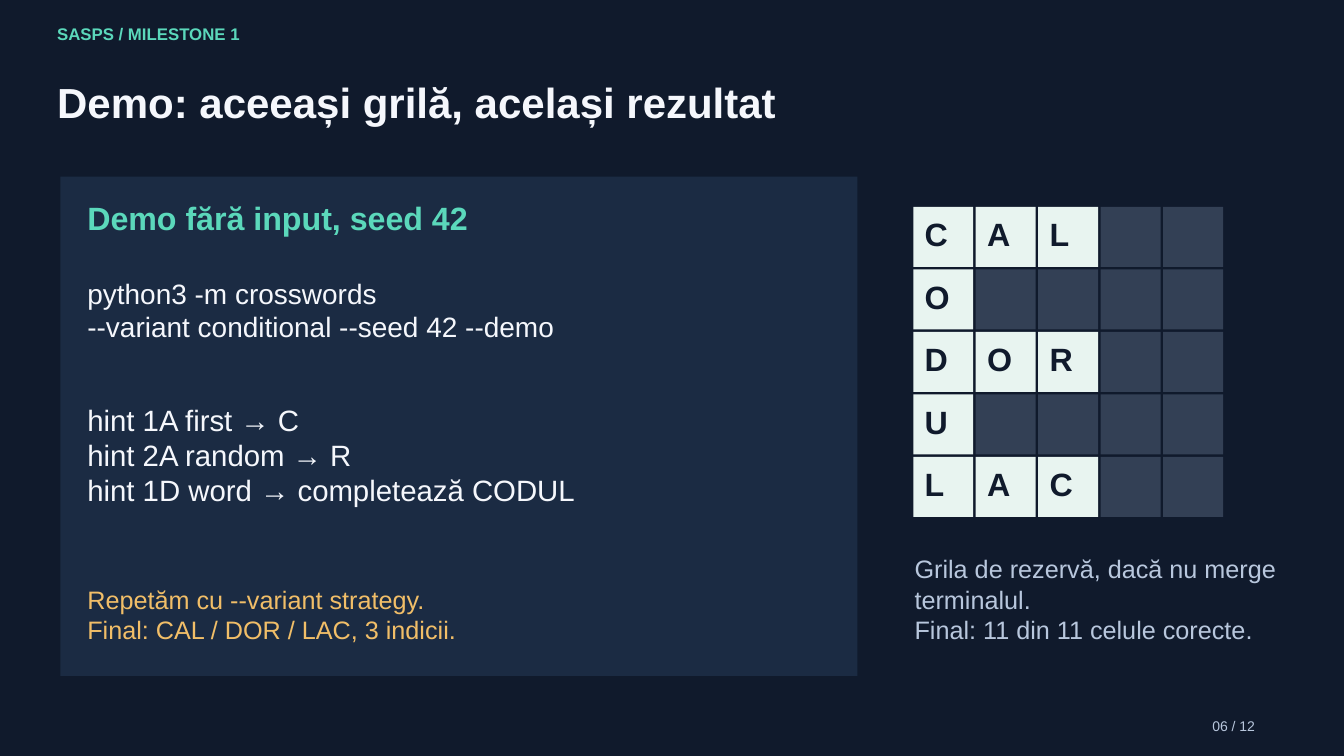
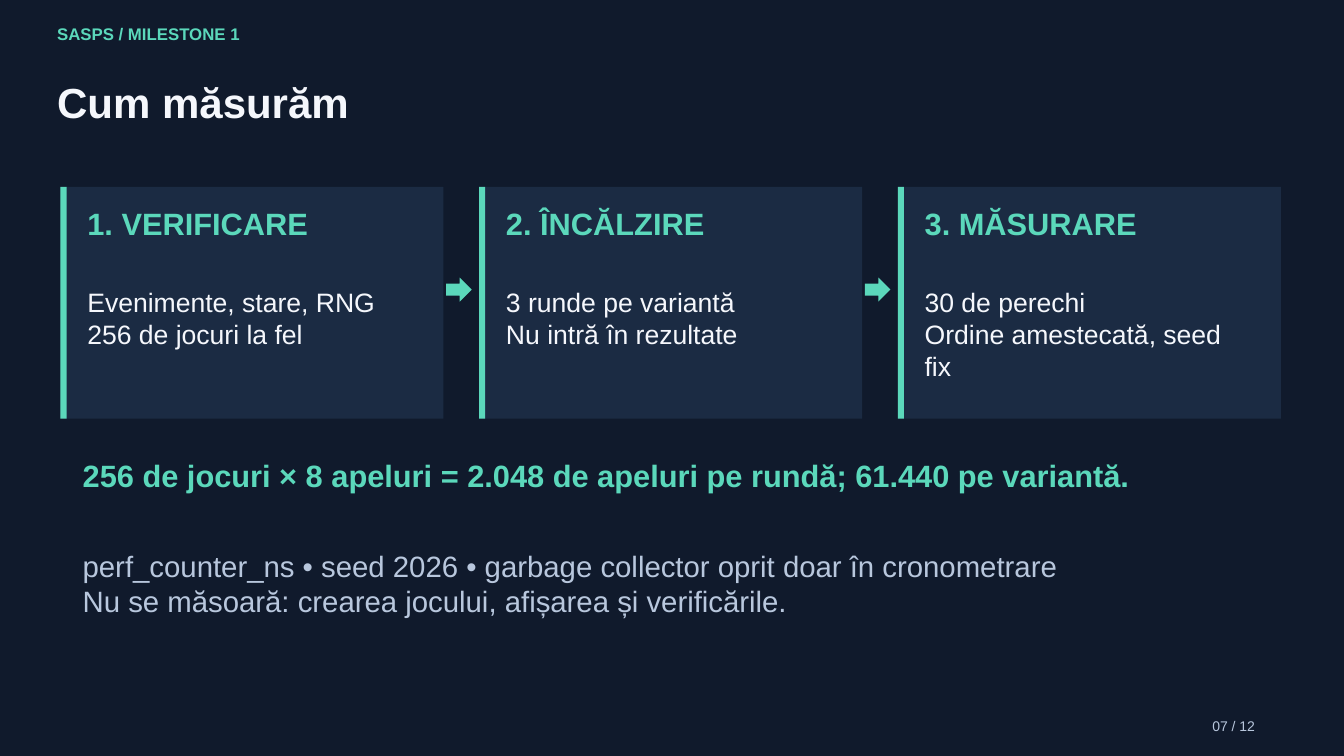
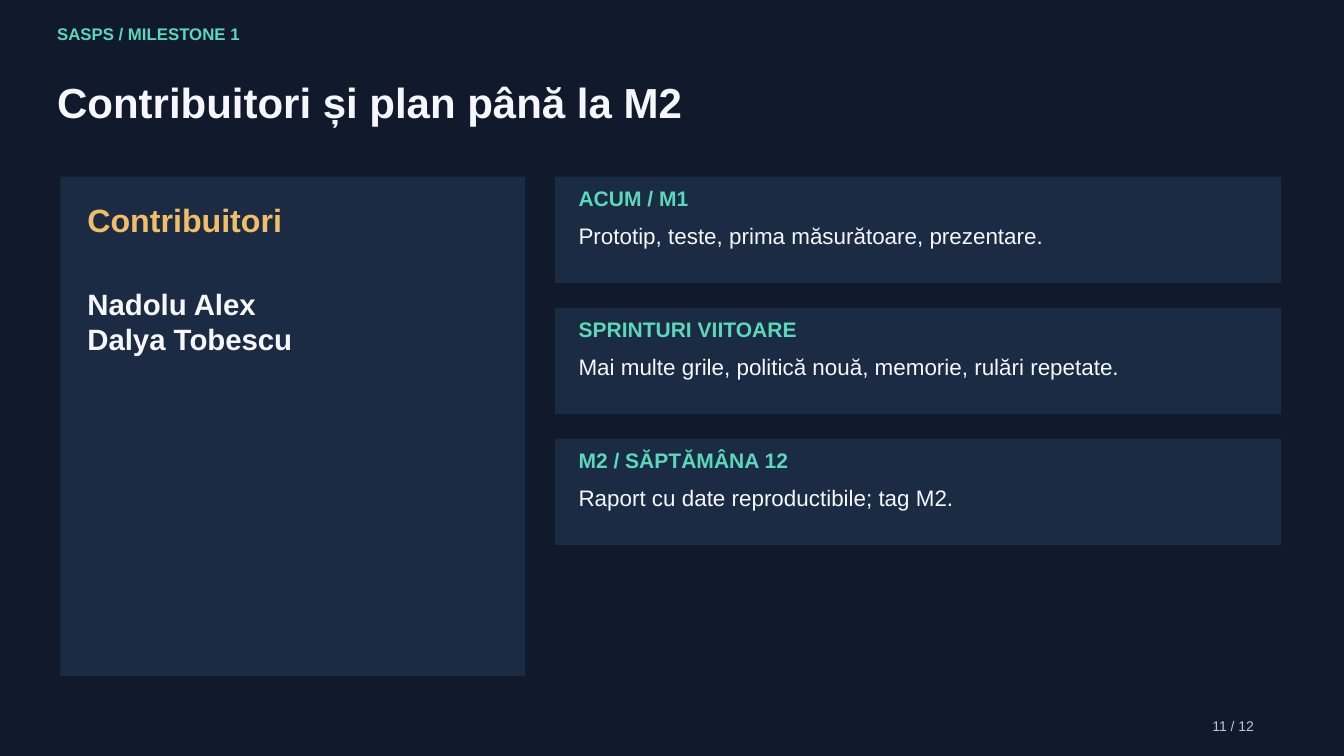
from pptx import Presentation
from pptx.dml.color import RGBColor
from pptx.enum.shapes import MSO_SHAPE as SHAPE
from pptx.enum.text import MSO_AUTO_SIZE as AUTO_SIZE
from pptx.util import Inches, Pt

COLORS = {
    "background": "101A2C",
    "panel": "1B2B43",
    "empty": "334055",
    "filled": "E8F4F0",
    "accent": "5BD8BB",
    "gold": "F1BE68",
    "text": "F5F7FC",
    "muted": "B8C7DD",
}
FONT = "Arial"

# The slide is a grid of 20 columns by 11.25 rows; all lengths count its cells.
COLUMNS, ROWS = 20, 11.25
CELL = Inches(1)
LEFT, RIGHT = 0.9, 19.06
PANEL_TOP, PANEL_HEIGHT = 2.63, 7.43
PAD = 0.4
TOTAL_SLIDES = 12

CROSSWORD = ["CAL  ", "O    ", "DOR  ", "U    ", "LAC  "]
STEPS = [
    ("1. VERIFICARE", ["Evenimente, stare, RNG", "256 de jocuri la fel"]),
    ("2. ÎNCĂLZIRE", ["3 runde pe variantă", "Nu intră în rezultate"]),
    ("3. MĂSURARE", ["30 de perechi", "Ordine amestecată, seed", "fix"]),
]
PLAN = [
    ("ACUM / M1", "Prototip, teste, prima măsurătoare, prezentare."),
    ("SPRINTURI VIITOARE", "Mai multe grile, politică nouă, memorie, rulări repetate."),
    ("M2 / SĂPTĂMÂNA 12", "Raport cu date reproductibile; tag M2."),
]


def rgb(name):
    return RGBColor.from_string(COLORS[name])


def on_grid(*lengths):
    return [round(n * CELL) for n in lengths]


def add_block(slide, x, y, w, h, color="panel", shape=SHAPE.RECTANGLE):
    """Add a plain filled shape without outline or shadow."""
    sp = slide.shapes.add_shape(shape, *on_grid(x, y, w, h))
    sp.shadow.inherit = False
    sp.fill.solid()
    sp.fill.fore_color.rgb = rgb(color)
    sp.line.fill.background()


def add_text(slide, text, x, y, w, h, size=31.5, color="text", bold=False):
    """Add a text box; a list of strings gives one paragraph each."""
    tf = slide.shapes.add_textbox(*on_grid(x, y, w, h)).text_frame
    tf.margin_left = tf.margin_right = tf.margin_top = tf.margin_bottom = 0
    tf.word_wrap = True
    tf.auto_size = AUTO_SIZE.SHAPE_TO_FIT_TEXT
    lines = [text] if isinstance(text, str) else text
    for i, line in enumerate(lines):
        p = tf.add_paragraph() if i else tf.paragraphs[0]
        p.line_spacing = Pt(size * 1.2)
        r = p.add_run()
        r.text = line
        r.font.name = FONT
        r.font.size = Pt(size)
        r.font.bold = bold
        r.font.color.rgb = rgb(color)


def add_slide(prs, title, number):
    """Add a slide with the shared background, header, title and page number."""
    slide = prs.slides.add_slide(prs.slide_layouts[6])
    slide.background.fill.solid()
    slide.background.fill.fore_color.rgb = rgb("background")
    add_text(slide, "SASPS / MILESTONE 1", 0.85, 0.35, 17.96, 0.55,
             size=18, color="accent", bold=True)
    add_text(slide, title, 0.85, 1.14, 18.26, 1.08, size=45, bold=True)
    add_text(slide, f"{number:02} / {TOTAL_SLIDES}", 18.04, 10.68, 1.07, 0.4,
             size=15, color="muted")
    return slide


def add_crossword(slide, x, y, rows, square=0.89, pitch=0.93):
    for i, row in enumerate(rows):
        for j, letter in enumerate(row):
            left, top = x + j * pitch, y + i * pitch
            filled = letter != " "
            add_block(slide, left, top, square, square, "filled" if filled else "empty")
            if filled:
                add_text(slide, letter, left + 0.17, top + 0.11, 0.63, 0.77,
                         size=34.5, color="background", bold=True)


def add_step(slide, x, heading, lines, width):
    top, height = 2.78, 3.45
    add_block(slide, x, top, width, height)
    add_block(slide, x, top, 0.09, height, "accent")
    add_text(slide, heading, x + PAD, 3.05, width - 2 * PAD, 1.01,
             size=33, color="accent", bold=True)
    add_text(slide, lines, x + PAD, 4.26, width - 2 * PAD, 1.75, size=28.5)


def add_plan_row(slide, y, heading, text):
    x, pad = 8.26, 0.35
    width = RIGHT - x
    add_block(slide, x, y, width, 1.58)
    add_text(slide, heading, x + pad, y + 0.13, width - 2 * pad, 0.55,
             size=22.5, color="accent", bold=True)
    add_text(slide, text, x + pad, y + 0.68, width - 2 * pad, 0.84, size=24)


def build_demo(prs):
    slide = add_slide(prs, "Demo: aceeași grilă, același rezultat", 6)
    width = 11.86
    x, w = LEFT + PAD, width - 2 * PAD
    add_block(slide, LEFT, PANEL_TOP, width, PANEL_HEIGHT)
    add_text(slide, "Demo fără input, seed 42", x, 2.95, w, 0.85,
             size=34.5, color="accent", bold=True)
    add_text(slide, ["python3 -m crosswords", "--variant conditional --seed 42 --demo"],
             x, 4.11, w, 1.52, size=30)
    add_text(slide, ["hint 1A first → C", "hint 2A random → R",
                     "hint 1D word → completează CODUL"], x, 5.98, w, 2.2)
    add_text(slide, ["Repetăm cu --variant strategy.", "Final: CAL / DOR / LAC, 3 indicii."],
             x, 8.69, w, 1.07, size=27, color="gold")
    add_crossword(slide, 13.59, 3.08, CROSSWORD)
    add_text(slide, ["Grila de rezervă, dacă nu merge", "terminalul.",
                     "Final: 11 din 11 celule corecte."],
             13.61, 8.24, 5.57, 1.6, size=27, color="muted")


def build_method(prs):
    slide = add_slide(prs, "Cum măsurăm", 7)
    width, pitch = 5.7, 6.23
    for i, (heading, lines) in enumerate(STEPS):
        x = LEFT + i * pitch
        add_step(slide, x, heading, lines, width)
        if i < len(STEPS) - 1:
            add_block(slide, x + width + 0.04, 4.13, 0.38, 0.36, "accent", SHAPE.RIGHT_ARROW)
    add_text(slide, "256 de jocuri × 8 apeluri = 2.048 de apeluri pe rundă; 61.440 pe variantă.",
             1.23, 6.8, 17.81, 0.93, size=33, color="accent", bold=True)
    add_text(slide, ["perf_counter_ns • seed 2026 • garbage collector oprit doar în cronometrare",
                     "Nu se măsoară: crearea jocului, afișarea și verificările."],
             1.23, 8.16, 17.81, 1.67, color="muted")


def build_plan(prs):
    slide = add_slide(prs, "Contribuitori și plan până la M2", 11)
    width = 6.91
    x, w = LEFT + PAD, width - 2 * PAD
    add_block(slide, LEFT, PANEL_TOP, width, PANEL_HEIGHT)
    add_text(slide, "Contribuitori", x, 2.98, w, 0.92, size=34.5, color="gold", bold=True)
    add_text(slide, ["Nadolu Alex", "Dalya Tobescu"], x, 4.26, w, 1.3, bold=True)
    for i, (heading, text) in enumerate(PLAN):
        add_plan_row(slide, PANEL_TOP + i * 1.95, heading, text)


def main():
    prs = Presentation()
    prs.slide_width, prs.slide_height = on_grid(COLUMNS, ROWS)
    build_demo(prs)
    build_method(prs)
    build_plan(prs)
    prs.save("out.pptx")


if __name__ == "__main__":
    main()
